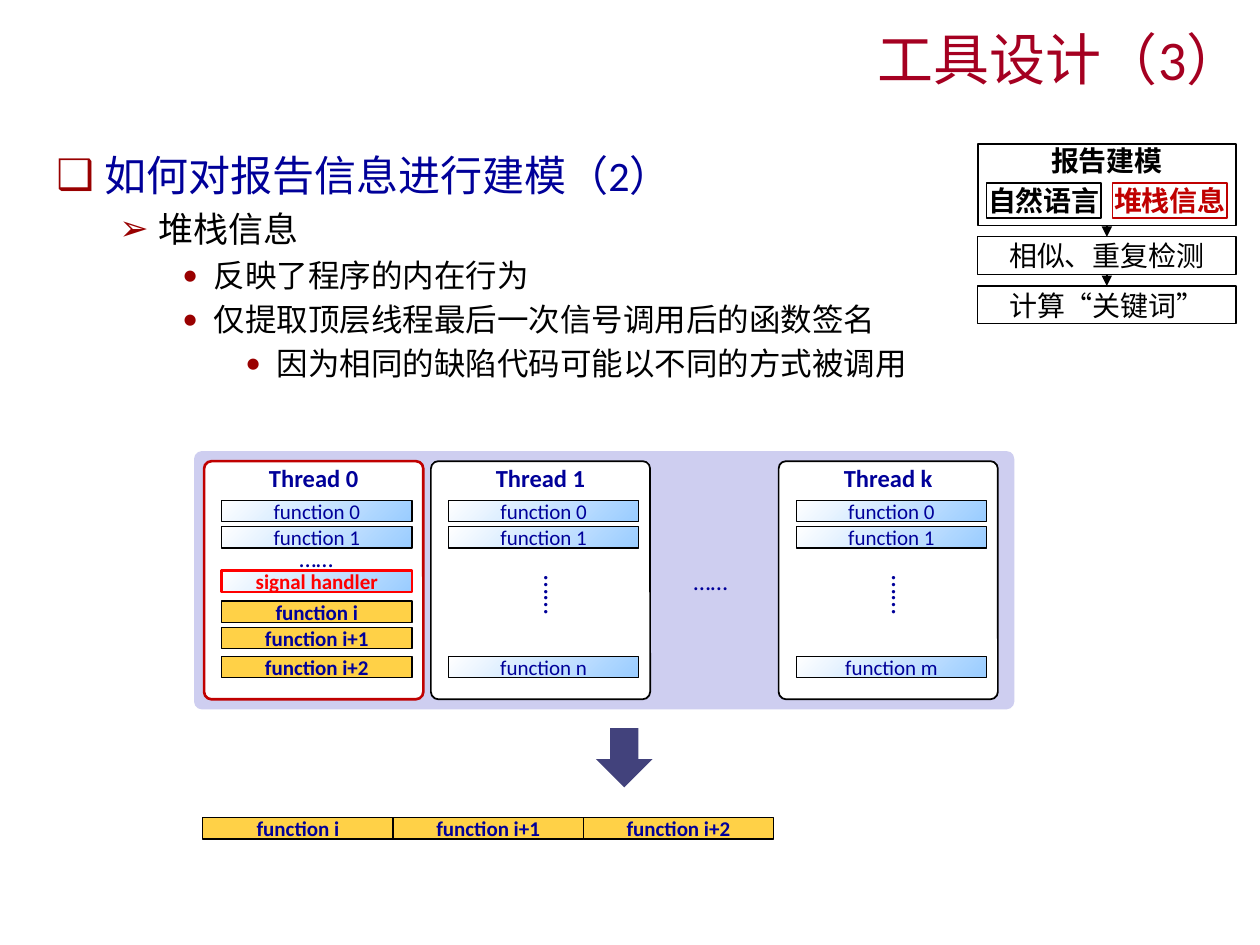
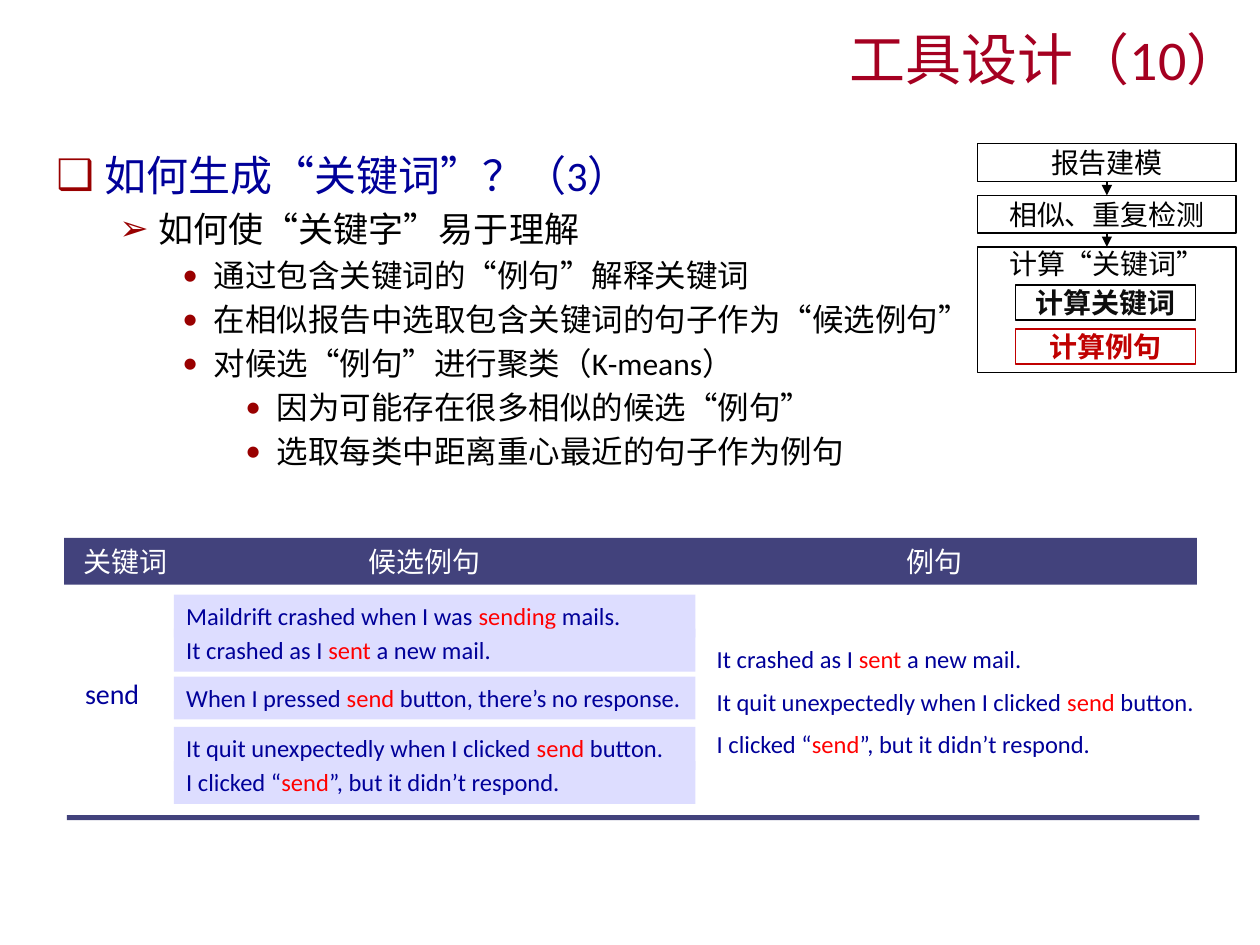
import itertools

import pptx
import pptx.dml.color
import pptx.enum.dml
import pptx.enum.shapes
import pptx.enum.text
import pptx.oxml.ns
import pptx.util
from lxml import etree

Inches, Pt = pptx.util.Inches, pptx.util.Pt
RGBColor = pptx.dml.color.RGBColor
SHAPE = pptx.enum.shapes.MSO_SHAPE
ALIGN = pptx.enum.text.PP_ALIGN
ANCHOR = pptx.enum.text.MSO_ANCHOR
qn = pptx.oxml.ns.qn

# Shared look
CRIMSON = RGBColor(0xA5, 0x00, 0x21)
NAVY = RGBColor(0x00, 0x00, 0x99)
MAROON = RGBColor(0x99, 0x00, 0x00)
DARK_RED = RGBColor(0xC0, 0x00, 0x00)
RED = RGBColor(0xFF, 0x00, 0x00)
BLACK = RGBColor(0x00, 0x00, 0x00)
NEAR_BLACK = RGBColor(0x0D, 0x0D, 0x0D)
WHITE = RGBColor(0xFF, 0xFF, 0xFF)
SKY = RGBColor(0x99, 0xCC, 0xFF)
GOLD = RGBColor(0xFF, 0xD1, 0x47)
SLATE = RGBColor(0x42, 0x42, 0x7C)
LILAC = RGBColor(0xCE, 0xCE, 0xF0)
LAVENDER = RGBColor(0xDD, 0xDD, 0xFF)
LATIN, CHINESE = "Calibri", "Noto Sans CJK SC"

# Bullet, left indent, hanging indent, size and colour of each outline level
LEVELS = [("❑", 0.38, 0.38, 24, NAVY), ("➢", 0.81, 0.31, 20, BLACK),
          ("•", 1.25, 0.25, 18, BLACK), ("•", 1.75, 0.25, 18, BLACK)]
FLOW_LEFT, FLOW_WIDTH, STEP_HEIGHT = 7.76, 2.05, 0.3
BAR_WIDTH, BAR_HEIGHT = 1.51, 0.17


def add_spans(para, text, size, color, bold=False):
    """Write text; words between asterisks become red."""
    has_chinese = any(char > "\u2fff" for char in text)
    for index, piece in enumerate(text.split("*")):
        for ascii_run, chars in itertools.groupby(piece, str.isascii):
            chars = "".join(chars) if has_chinese else piece
            span = para.add_run()
            span.text = chars
            latin = CHINESE if has_chinese and not ascii_run else LATIN
            for name, value in {"size": Pt(size), "bold": bold, "name": latin}.items():
                setattr(span.font, name, value)
            span.font.color.rgb = RED if index % 2 else color
            east = etree.SubElement(span.font._element, qn("a:ea"))
            east.set("typeface", CHINESE)
            if not has_chinese:
                break


def write(box, text, size, color=NAVY, bold=False, align=ALIGN.CENTER,
          anchor=ANCHOR.MIDDLE, tight=True, spacing=0.2):
    frame = box.text_frame
    settings = {"word_wrap": True, "vertical_anchor": anchor}
    if tight:
        sides = ("left", "top", "right", "bottom")
        settings.update({f"margin_{side}": 0 for side in sides})
    for name, value in settings.items():
        setattr(frame, name, value)
    para = frame.paragraphs[0]
    para.alignment = align
    para.space_before = Pt(size * spacing)
    add_spans(para, text, size, color, bold)


def add_box(page, left, top, width, height, fill=None, line=None, weight=0.75,
            kind=SHAPE.RECTANGLE):
    box = page.shapes.add_shape(kind, *map(Inches, (left, top, width, height)))
    box.shadow.inherit = False
    if fill is None:
        box.fill.background()
    else:
        box.fill.solid()
        box.fill.fore_color.rgb = fill
    if line is None:
        box.line.fill.background()
    else:
        box.line.color.rgb = line
        box.line.width = Pt(weight)
    return box


def add_text(page, left, top, width, height, text, size, **format_values):
    box = page.shapes.add_textbox(*map(Inches, (left, top, width, height)))
    write(box, text, size, **format_values)
    return box


def add_arrow(page, x, top, bottom):
    arrow = page.shapes.add_connector(pptx.enum.shapes.MSO_CONNECTOR.STRAIGHT,
                                      *map(Inches, (x, top, x, bottom)))
    arrow.line.color.rgb = BLACK
    arrow.line.width = Pt(0.75)
    etree.SubElement(arrow.line._get_or_add_ln(), qn("a:tailEnd")).set("type", "triangle")
    etree.SubElement(arrow._element.spPr, qn("a:effectLst"))


# Title and outline
def add_title(page, text):
    add_text(page, 2.95, 0.14, 7.01, 0.64, text, 32, color=CRIMSON,
             align=ALIGN.RIGHT, anchor=ANCHOR.BOTTOM, tight=False, spacing=0)


def add_bullet(para, char, left, hanging):
    properties = para._p.get_or_add_pPr()
    properties.set("marL", str(Inches(left)))
    properties.set("indent", str(-Inches(hanging)))
    color = etree.SubElement(properties, qn("a:buClr"))
    etree.SubElement(color, qn("a:srgbClr")).set("val", str(MAROON))
    etree.SubElement(properties, qn("a:buFont")).set("typeface", LATIN)
    etree.SubElement(properties, qn("a:buChar")).set("char", char)


def add_outline(page, height, items):
    box = page.shapes.add_textbox(*map(Inches, (0.35, 1.14, 9.23, height)))
    frame = box.text_frame
    frame.word_wrap = True
    for index, (level, text) in enumerate(items):
        para = frame.add_paragraph() if index else frame.paragraphs[0]
        char, left, hanging, size, color = LEVELS[level]
        para.level = level
        para.space_before = Pt(size * 0.2)
        add_bullet(para, char, left, hanging)
        add_spans(para, text, size, color)


# Flow of steps at the top right
def add_flow(page, steps, substeps):
    """Steps are (text, top, height, bold); substeps are (text, box, color, line)."""
    bottom = None
    for text, top, height, bold in steps:
        box = add_box(page, FLOW_LEFT, top, FLOW_WIDTH, height, line=BLACK,
                      weight=1 if bold else 0.75)
        anchor = ANCHOR.TOP if height > STEP_HEIGHT else ANCHOR.MIDDLE
        write(box, text, 16, BLACK, bold, anchor=anchor)
        if bottom:
            add_arrow(page, FLOW_LEFT + FLOW_WIDTH / 2, bottom, top)
        bottom = top + height
    for text, place, color, line in substeps:
        write(add_box(page, *place, line=line, weight=1), text, 16, color, True)


# Thread stacks
def add_bar(page, left, top, text, kind="plain"):
    line, weight = (RED, 1.5) if kind == "signal" else (BLACK, 0.75)
    bar = add_box(page, left, top, BAR_WIDTH, BAR_HEIGHT, GOLD, line, weight)
    if kind != "kept":
        bar.fill.gradient()
        bar.fill.gradient_angle = 315
        for stop, color, position in zip(bar.fill.gradient_stops, (WHITE, SKY), (0, 1)):
            stop.color.rgb = color
            stop.position = position
    write(bar, text, 12, RED if kind == "signal" else NAVY, kind != "plain")


def add_thread(page, left, top, name, bars, line=BLACK, weight=1):
    """Bars are (offset from the top, text, kind)."""
    card = add_box(page, left, top, 1.74, 1.89, WHITE, line, weight, SHAPE.ROUNDED_RECTANGLE)
    card.adjustments[0] = 0.034
    write(card, name, 14, bold=True, anchor=ANCHOR.TOP)
    for offset, text, kind in bars:
        add_bar(page, left + 0.14, top + offset, text, kind)


def add_vertical_dots(page, left, top):
    dots = add_text(page, left, top, 0.94, 0.52, "……", 16)
    dots.text_frame._txBody.bodyPr.set("vert", "eaVert")


def add_threads(page, left, top):
    panel = add_box(page, left, top, 6.51, 2.05, LILAC, kind=SHAPE.ROUNDED_RECTANGLE)
    panel.adjustments[0] = 0.03
    first = [(0.31, "function 0", "plain"), (0.52, "function 1", "plain")]
    kept = ["function i", "function i+1", "function i+2"]
    tail = [(offset, text, "kept") for offset, text in zip((1.11, 1.32, 1.55), kept)]
    card_top = top + 0.08
    add_thread(page, left + 0.08, card_top, "Thread 0",
               first + [(0.87, "signal handler", "signal")] + tail, DARK_RED, 1.5)
    for offset, name, last in [(1.88, "Thread 1", "function n"), (4.64, "Thread k", "function m")]:
        add_thread(page, left + offset, card_top, name, first + [(1.55, last, "plain")])
        add_vertical_dots(page, left + offset + 0.52, top + 0.99)
    for x, y in [(0.5, 0.73), (3.63, 0.91)]:
        add_text(page, left + x, top + y, 0.94, 0.24, "……", 14)
    # Extracted signature
    add_box(page, left + 3.19, top + 2.2, 0.45, 0.47, SLATE, kind=SHAPE.DOWN_ARROW)
    for index, text in enumerate(kept):
        add_bar(page, left + 0.07 + index * BAR_WIDTH, top + 2.91, text, "kept")


# Keyword and example sentences
def add_examples(page, left, top):
    add_box(page, left, top, 8.99, 0.37, SLATE)
    add_box(page, left + 0.02, top + 2.2, 8.99, 0.04, SLATE)
    for x, width, text in [(0.02, 0.93, "关键词"), (2.25, 1.22, "候选例句"), (6.41, 1, "例句")]:
        add_text(page, left + x, top, width, 0.37, text, 16, color=WHITE,
                 anchor=ANCHOR.TOP, tight=False)
    add_text(page, left - 0.02, top + 1.05, 0.8, 0.37, "send", 16,
             anchor=ANCHOR.TOP, tight=False)
    sentence = {"size": 14, "align": ALIGN.LEFT, "anchor": ANCHOR.TOP, "tight": False}
    chosen = ["It crashed as I *sent* a new mail.",
              "It quit unexpectedly when I clicked *send* button.",
              "I clicked “*send*”, but it didn’t respond."]
    clusters = [(0.45, ["Maildrift crashed when I was *sending* mails.", chosen[0]]),
                (1.1, ["When I pressed *send* button, there’s no response."]),
                (1.5, chosen[1:])]
    for offset, lines in clusters:
        for index, text in enumerate(lines):
            box = add_box(page, left + 0.87, top + offset + index * 0.27, 4.14, 0.34, LAVENDER)
            write(box, text, **sentence)
    for index, text in enumerate(chosen):
        add_text(page, left + 5.08, top + 0.79 + index * 0.34, 4.1, 0.34, text, **sentence)


def build_stack_page(page):
    add_title(page, "工具设计（3）")
    add_outline(page, 2.11, [
        (0, "如何对报告信息进行建模（2）"), (1, "堆栈信息"), (2, "反映了程序的内在行为"),
        (2, "仅提取顶层线程最后一次信号调用后的函数签名"),
        (3, "因为相同的缺陷代码可能以不同的方式被调用")])
    add_threads(page, 1.54, 3.58)
    add_flow(page, [("报告建模", 1.14, 0.65, True),
                    ("相似、重复检测", 1.88, STEP_HEIGHT, False),
                    ("计算“关键词”", 2.27, STEP_HEIGHT, False)],
             [("自然语言", (7.83, 1.45, 0.91, 0.28), BLACK, BLACK),
              ("堆栈信息", (8.83, 1.45, 0.91, 0.28), DARK_RED, DARK_RED)])


def build_example_page(page):
    add_title(page, "工具设计（10）")
    add_outline(page, 2.93, [
        (0, "如何生成“关键词”？（3）"), (1, "如何使“关键字”易于理解"),
        (2, "通过包含关键词的“例句”解释关键词"),
        (2, "在相似报告中选取包含关键词的句子作为“候选例句”"),
        (2, "对候选“例句”进行聚类（K-means）"),
        (3, "因为可能存在很多相似的候选“例句”"),
        (3, "选取每类中距离重心最近的句子作为例句")])
    add_examples(page, 0.51, 4.27)
    add_flow(page, [("报告建模", 1.14, STEP_HEIGHT, False),
                    ("相似、重复检测", 1.55, STEP_HEIGHT, False),
                    ("计算“关键词”", 1.96, 1, False)],
             [("计算关键词", (8.06, 2.26, 1.43, 0.28), NEAR_BLACK, BLACK),
              ("计算例句", (8.06, 2.61, 1.43, 0.28), DARK_RED, DARK_RED)])


def main():
    deck = pptx.Presentation()
    deck.slide_width, deck.slide_height = Inches(10), Inches(7.5)
    for build in (build_stack_page, build_example_page):
        build(deck.slides.add_slide(deck.slide_layouts[6]))
    deck.save("out.pptx")


if __name__ == "__main__":
    main()
